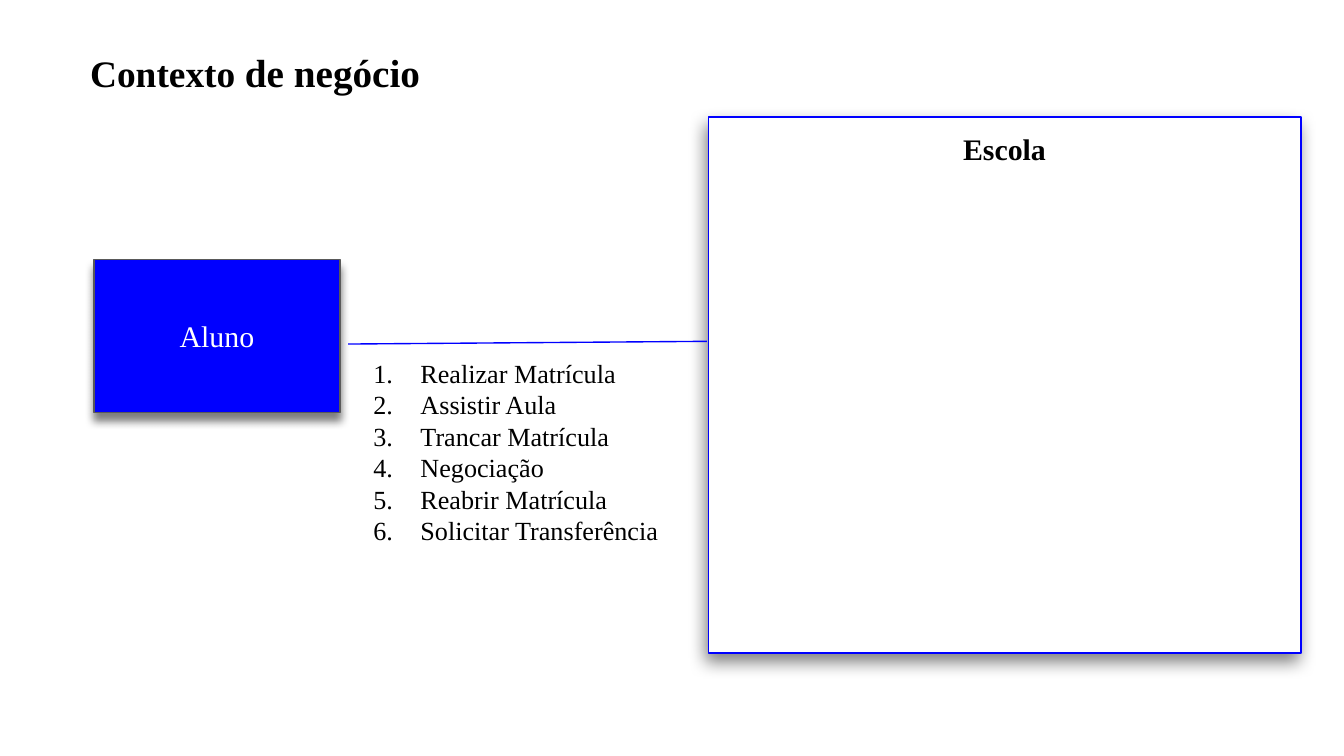
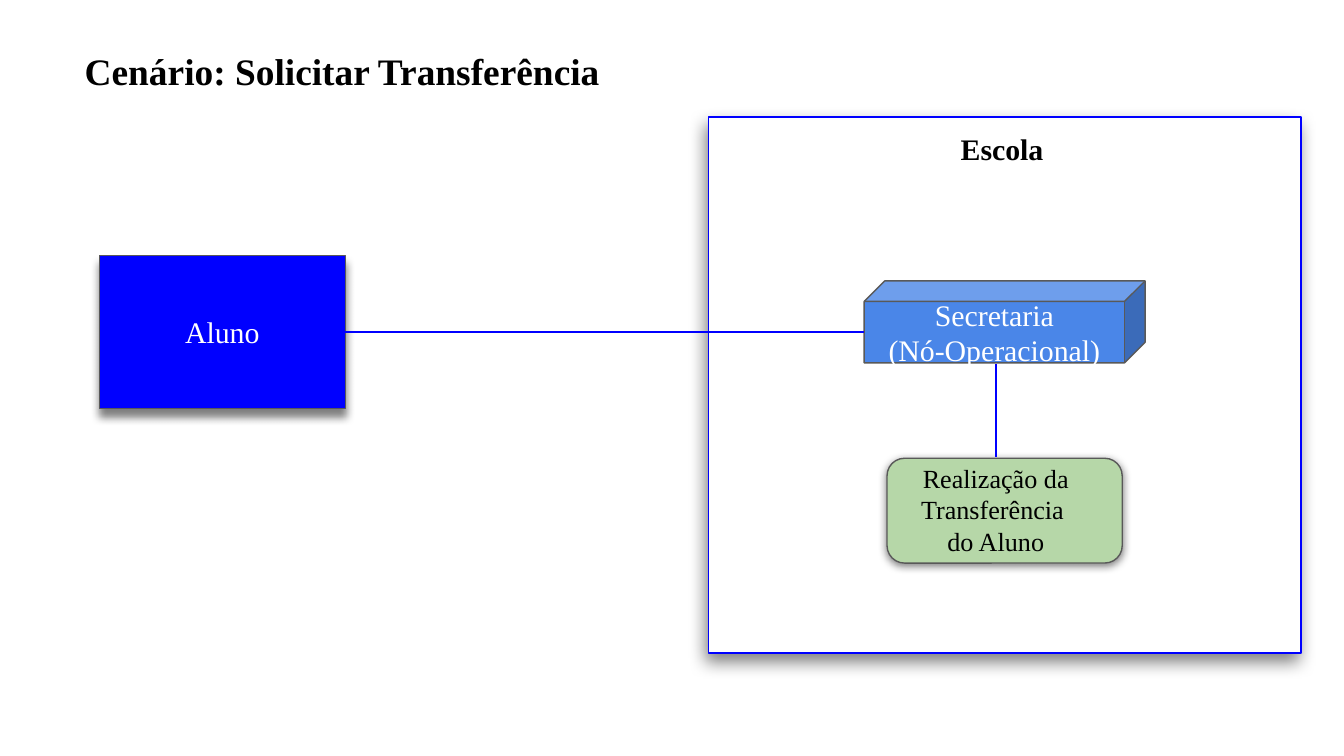
from lxml import etree
from pptx import Presentation
from pptx.dml.color import RGBColor
from pptx.enum.shapes import MSO_CONNECTOR, MSO_SHAPE
from pptx.enum.text import MSO_ANCHOR, PP_ALIGN
from pptx.oxml.ns import qn
from pptx.util import Inches, Pt

# Shared style
FONT = "Times New Roman"
BLACK = RGBColor(0x00, 0x00, 0x00)
WHITE = RGBColor(0xFF, 0xFF, 0xFF)
BLUE = RGBColor(0x00, 0x00, 0xFF)
SKY = RGBColor(0x4A, 0x86, 0xE8)
GREEN = RGBColor(0xB6, 0xD7, 0xA8)
GRAY = RGBColor(0x59, 0x59, 0x59)
LINE_WIDTH = Pt(0.75)

RECTANGLE = MSO_SHAPE.RECTANGLE
CUBE = MSO_SHAPE.CUBE
ROUNDED = MSO_SHAPE.ROUNDED_RECTANGLE
STRAIGHT = MSO_CONNECTOR.STRAIGHT
LEFT, CENTER, JUSTIFY = PP_ALIGN.LEFT, PP_ALIGN.CENTER, PP_ALIGN.JUSTIFY
TOP, MIDDLE = MSO_ANCHOR.TOP, MSO_ANCHOR.MIDDLE

# Shadows: blur (pt), distance (pt), direction (degrees)
PANEL_SHADOW = (9, 4.5, 109)
ACTOR_SHADOW = (4.5, 4.5, 90)
TASK_SHADOW = (4.5, 1.5, 90)

# Boxes: left, top, width, height in inches
SCHOOL_BOX = (5.27, 0.87, 4.41, 3.99)
ACTOR_SIZE = (1.83, 1.14)


def write(frame, paragraphs, size=16, bold=False, color=BLACK, align=LEFT,
          anchor=TOP, numbered=False):
    """Each paragraph is a string or a list of (text, size) spans."""
    frame.word_wrap = True
    frame.vertical_anchor = anchor
    frame.margin_left = frame.margin_right = Inches(0.1)
    frame.margin_top = frame.margin_bottom = Inches(0.1)
    for index, content in enumerate(paragraphs):
        para = frame.add_paragraph() if index else frame.paragraphs[0]
        para.alignment = align
        para.line_spacing = 1.0
        para.space_before = para.space_after = Pt(0)
        spans = [(content, size)] if isinstance(content, str) else content
        for text, span_size in spans:
            for row, part in enumerate(text.split("\n")):
                if row:
                    para.add_line_break()
                span = para.add_run()
                span.text = part
                span.font.name = FONT
                span.font.size = Pt(span_size)
                span.font.bold = bold
                span.font.color.rgb = color
        if numbered:
            number(para)


def number(para):
    properties = para._p.get_or_add_pPr()
    properties.set("marL", str(Inches(0.5)))
    properties.set("indent", str(Inches(-0.35)))
    bullet_color = etree.SubElement(properties, qn("a:buClr"))
    etree.SubElement(bullet_color, qn("a:srgbClr"), val=str(BLACK))
    etree.SubElement(properties, qn("a:buFont"), typeface=FONT)
    etree.SubElement(properties, qn("a:buAutoNum"), type="arabicPeriod")


def add_text(page, box, paragraphs, **style):
    text_box = page.shapes.add_textbox(*map(Inches, box))
    write(text_box.text_frame, paragraphs, **style)


def add_block(page, kind, box, fill, line=GRAY, shadow=None):
    block = page.shapes.add_shape(kind, *map(Inches, box))
    block.fill.solid()
    block.fill.fore_color.rgb = fill
    block.line.color.rgb = line
    block.line.width = LINE_WIDTH
    block.shadow.inherit = False
    if shadow:
        blur, distance, direction = shadow
        effects = block._element.spPr.find(qn("a:effectLst"))
        outer = etree.SubElement(
            effects, qn("a:outerShdw"), blurRad=str(Pt(blur)),
            dist=str(Pt(distance)), dir=str(direction * 60000),
            algn="bl", rotWithShape="0")
        shade = etree.SubElement(outer, qn("a:srgbClr"), val=str(BLACK))
        etree.SubElement(shade, qn("a:alpha"), val="50000")
    return block


def add_line(page, start, end):
    line = page.shapes.add_connector(STRAIGHT, *map(Inches, start + end))
    line.line.color.rgb = BLUE
    line.line.width = LINE_WIDTH
    etree.SubElement(line._element.spPr, qn("a:effectLst"))


def add_page(deck, title_box, title):
    page = deck.slides.add_slide(deck.slide_layouts[5])
    holder = page.shapes.title
    holder.left, holder.top, holder.width, holder.height = map(Inches, title_box)
    write(holder.text_frame, [title], size=20, bold=True)
    return page


def add_school(page, box, label_box, label, align):
    add_block(page, RECTANGLE, box, WHITE, BLUE, PANEL_SHADOW)
    add_text(page, label_box, [label], bold=True, align=align)


def add_actor(page, left, top):
    actor = add_block(page, RECTANGLE, (left, top) + ACTOR_SIZE, BLUE,
                      shadow=ACTOR_SHADOW)
    write(actor.text_frame, ["Aluno"], color=WHITE, align=CENTER, anchor=MIDDLE)


def add_office(page, box):
    """Operational node, with the task it carries out below."""
    left, top, width, height = box
    office = add_block(page, CUBE, box, SKY)
    write(office.text_frame, ["Secretaria\n(Nó-Operacional)"], color=WHITE,
          align=CENTER, anchor=MIDDLE)
    add_block(page, ROUNDED, (left + 0.17, top + 1.32, 1.75, 0.78), GREEN,
              shadow=TASK_SHADOW)
    add_text(page, (left, top + 1.25, 1.96, 0.46),
             ["Realização da Transferência ", "do Aluno"], size=14, align=CENTER)
    middle = left + 0.98
    add_line(page, (middle, top + height + 0.01), (middle, top + 1.31))


def build_context(deck):
    page = add_page(deck, (0.57, 0.26, 2.81, 0.61),
                    [("Contexto ", 20), ("de negócio", 21)])
    add_school(page, SCHOOL_BOX, (6.71, 0.87, 1.53, 0.37), "Escola", CENTER)
    add_actor(page, 0.7, 1.93)
    add_line(page, (2.59, 2.56), (5.26, 2.54))
    # Requests the student makes
    add_text(page, (2.53, 2.56, 2.51, 1.58),
             ["Realizar Matrícula", "Assistir Aula", "Trancar Matrícula",
              "Negociação", "Reabrir Matrícula", "Solicitar Transferência"],
             size=14, align=JUSTIFY, numbered=True)


def build_transfer(deck):
    page = add_page(deck, (0.53, 0.26, 4.1, 0.61),
                    "Cenário: Solicitar Transferência")
    add_school(page, SCHOOL_BOX, (7.05, 0.87, 0.84, 0.39), "Escola ", LEFT)
    add_actor(page, 0.74, 1.9)
    add_office(page, (6.43, 2.09, 2.09, 0.61))
    add_line(page, (2.57, 2.47), (6.43, 2.47))


# Widescreen deck, 16:9
deck = Presentation()
deck.slide_width = Inches(10)
deck.slide_height = Inches(10 * 9 / 16)
build_context(deck)
build_transfer(deck)
deck.save("out.pptx")
